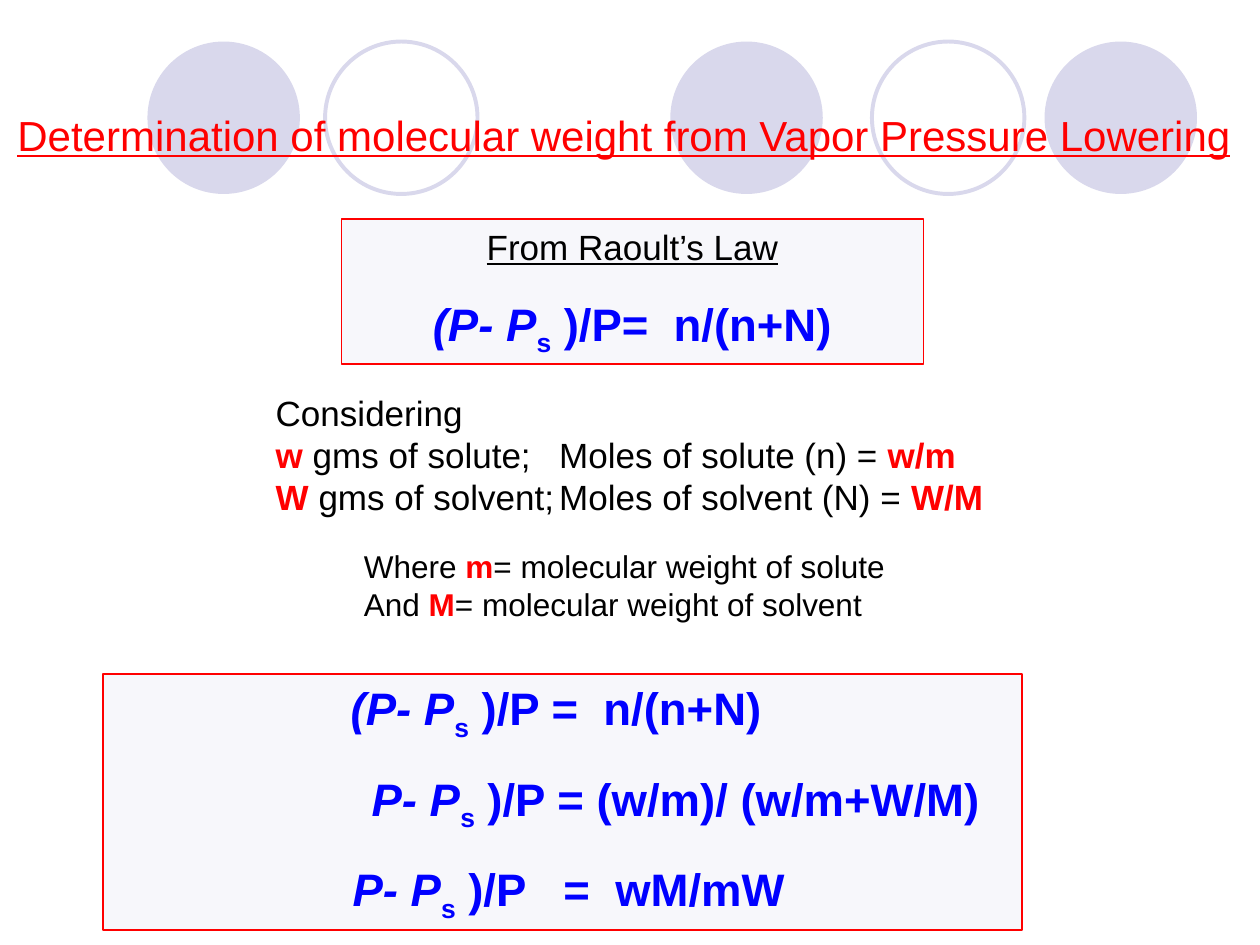
from pptx import Presentation
from pptx.dml.color import RGBColor
from pptx.enum.shapes import MSO_SHAPE as Shape
from pptx.enum.text import MSO_ANCHOR as Anchor, PP_ALIGN as Align
from pptx.util import Inches, Pt

LAVENDER = RGBColor(0xD9, 0xD8, 0xEC)
PALE = RGBColor(0xF7, 0xF7, 0xFB)
RED = RGBColor(0xFF, 0x00, 0x00)
BLUE = RGBColor(0x00, 0x00, 0xFF)
BLACK = RGBColor(0x00, 0x00, 0x00)

CIRCLES = [(1.17, True), (2.58, False), (5.32, True), (6.92, False), (8.29, True)]


def add_circle(page, left, filled):
    circle = page.shapes.add_shape(
        Shape.OVAL, Inches(left), Inches(0.33), Inches(1.21), Inches(1.21))
    circle.shadow.inherit = False
    if filled:
        circle.fill.solid()
        circle.fill.fore_color.rgb = LAVENDER
        circle.line.fill.background()
    else:
        circle.fill.background()
        circle.line.color.rgb = LAVENDER
        circle.line.width = Pt(2.25)


def add_panel(page, left, top, width, height):
    panel = page.shapes.add_shape(
        Shape.RECTANGLE, Inches(left), Inches(top), Inches(width), Inches(height))
    panel.shadow.inherit = False
    panel.fill.solid()
    panel.fill.fore_color.rgb = PALE
    panel.line.color.rgb = RED
    panel.line.width = Pt(1)
    frame = panel.text_frame
    frame.word_wrap = True
    frame.vertical_anchor = Anchor.TOP
    return frame


def next_paragraph(frame):
    first = frame.paragraphs[0]
    return frame.add_paragraph() if first.runs else first


def add_span(para, text, size, color, bold=False, italic=False, underline=False):
    span = para.add_run()
    span.text = text
    font = span.font
    font.name = "Arial"
    font.size = Pt(size)
    font.color.rgb = color
    font.bold = bold
    font.italic = italic
    font.underline = underline
    return span


def add_equation(frame, start, rest, left_indent=0, right_indent=0):
    para = next_paragraph(frame)
    para.alignment = Align.CENTER
    para.space_before = Pt(16.2)
    properties = para._p.get_or_add_pPr()
    properties.set("marL", str(Inches(left_indent)))
    properties.set("marR", str(Inches(right_indent)))
    add_span(para, start, 26, BLUE, bold=True, italic=True)
    subscript = add_span(para, "s", 26, BLUE, bold=True)
    subscript.font._element.set("baseline", "-25000")
    add_span(para, rest, 26, BLUE, bold=True)


def add_notes(page, left, top, width, height, size, lines):
    box = page.shapes.add_textbox(
        Inches(left), Inches(top), Inches(width), Inches(height))
    frame = box.text_frame
    frame.word_wrap = True
    for before, symbol, after in lines:
        para = next_paragraph(frame)
        if before:
            add_span(para, before, size, BLACK)
        if symbol:
            add_span(para, symbol, size, RED, bold=True)
        if after:
            add_span(para, after, size, BLACK)


def add_title(page, text):
    box = page.shapes.add_textbox(Inches(0.04), Inches(0.62), Inches(10), Inches(0.9))
    frame = box.text_frame
    frame.word_wrap = True
    frame.vertical_anchor = Anchor.MIDDLE
    add_span(frame.paragraphs[0], text, 24, RED, underline=True)


def main():
    deck = Presentation()
    deck.slide_width, deck.slide_height = Inches(10), Inches(7.5)
    page = deck.slides.add_slide(deck.slide_layouts[6])

    for left, filled in CIRCLES:
        add_circle(page, left, filled)
    add_title(page, "Determination of molecular weight from Vapor Pressure Lowering")

    law = add_panel(page, 2.71, 1.74, 4.62, 1.15)
    heading = next_paragraph(law)
    heading.alignment = Align.CENTER
    heading.space_before = Pt(12.5)
    add_span(heading, "From Raoult’s Law", 20, BLACK, underline=True)
    add_equation(law, "(P- P", " )/P=  n/(n+N)")

    add_notes(page, 2.09, 3.06, 2.5, 1.1, 20, [
        ("Considering", "", ""),
        ("", "w", " gms of solute;"),
        ("", "W", " gms of solvent;"),
    ])
    add_notes(page, 4.34, 3.39, 3.7, 0.77, 20, [
        ("Moles of solute (n) = ", "w/m", ""),
        ("Moles of solvent (N) = ", "W/M", ""),
    ])
    add_notes(page, 2.79, 4.29, 4.5, 0.7, 18, [
        ("Where ", "m", "= molecular weight of solute"),
        ("And ", "M", "= molecular weight of solvent"),
    ])

    result = add_panel(page, 0.82, 5.35, 7.29, 2.03)
    add_equation(result, "(P- P", " )/P =  n/(n+N)", right_indent=0.1)
    add_equation(result, "P- P", " )/P = (w/m)/ (w/m+W/M)", left_indent=1.8)
    add_equation(result, "P- P", " )/P   =  wM/mW", left_indent=0.1)

    deck.save("out.pptx")


if __name__ == "__main__":
    main()
